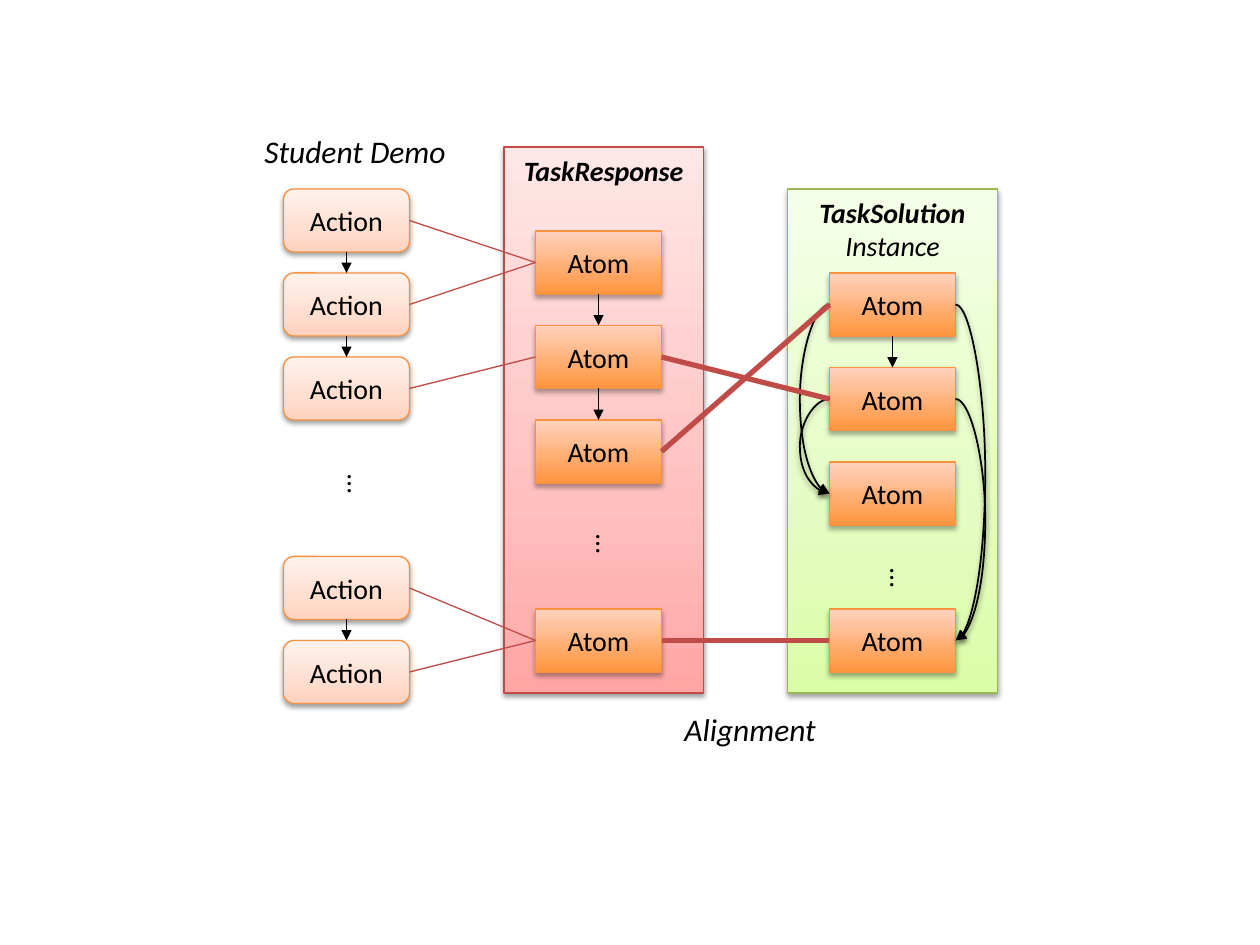
from dataclasses import dataclass
from itertools import pairwise

from lxml.etree import SubElement
from pptx import Presentation
from pptx.dml.color import RGBColor
from pptx.enum.shapes import MSO_CONNECTOR, MSO_SHAPE
from pptx.enum.text import MSO_ANCHOR, MSO_AUTO_SIZE, PP_ALIGN
from pptx.oxml.ns import qn
from pptx.util import Pt


@dataclass(frozen=True)
class Theme:
    font: str = "Calibri"
    body: int = 16
    label: int = 18
    ink: str = "000000"
    link: str = "BF4C48"
    # Each look: edge colour, gradient stops from bottom to top, shadow (alpha, distance)
    red: tuple = ("BF4C48", ((0, "FFA6A5"), (35, "FFC0BF"), (100, "FFE7E7")), (38, 1.6))
    green: tuple = ("98B955", ((0, "DAFDA7"), (35, "E4FCC2"), (100, "F5FFE7")), (38, 1.6))
    pale: tuple = ("F69240", ((0, "FFD2BD"), (35, "FFDED0"), (100, "FFF2ED")), (38, 1.6))
    deep: tuple = ("F69240", ((0, "FF953E"), (100, "FFD2BD")), (35, 1.8))


class Board:
    def __init__(self, slide, theme):
        self.slide, self.theme = slide, theme

    def tint(self, node, code, alpha=100):
        color = SubElement(node, qn("a:srgbClr"), val=code)
        if alpha < 100:
            SubElement(color, qn("a:alpha"), val=str(alpha * 1000))

    def shade(self, item, cast=None):
        """Give the item its own effect list, empty or with a drop shadow."""
        effects = SubElement(item._element.spPr, qn("a:effectLst"))
        if cast:
            alpha, dist = cast
            node = SubElement(effects, qn("a:outerShdw"), blurRad=str(Pt(3.1)),
                              dist=str(Pt(dist)), dir="5400000", rotWithShape="0")
            self.tint(node, self.theme.ink, alpha)

    def stroke(self, item, color, width):
        item.line.color.rgb = RGBColor.from_string(color)
        item.line.width = Pt(width)

    def letter(self, para, text, size, **style):
        run = para.add_run()
        run.text = text
        run.font.color.rgb = RGBColor.from_string(self.theme.ink)
        values = {"name": self.theme.font, "size": Pt(size), **style}
        for name, value in values.items():
            setattr(run.font, name, value)

    def block(self, kind, look, x, y, w, h, lines, anchor=MSO_ANCHOR.MIDDLE):
        """Draw a gradient shape; lines holds (text, style) pairs."""
        edge, stops, cast = look
        shape = self.slide.shapes.add_shape(kind, Pt(x), Pt(y), Pt(w), Pt(h))
        shape.fill.gradient()
        shape.fill.gradient_angle = 90
        ramp = shape._element.spPr.find(".//" + qn("a:gsLst"))
        ramp.clear()
        for pos, code in stops:
            self.tint(SubElement(ramp, qn("a:gs"), pos=str(pos * 1000)), code)
        self.stroke(shape, edge, 0.75)
        self.shade(shape, cast)
        frame = shape.text_frame
        frame.vertical_anchor = anchor
        for i, (text, style) in enumerate(lines):
            para = frame.add_paragraph() if i else frame.paragraphs[0]
            para.alignment = PP_ALIGN.CENTER
            self.letter(para, text, self.theme.body, **style)

    def label(self, text, x, y, w, h, size, turn=0, **style):
        box = self.slide.shapes.add_textbox(Pt(x), Pt(y), Pt(w), Pt(h))
        box.rotation = turn
        frame = box.text_frame
        for name, value in {"word_wrap": False,
                            "auto_size": MSO_AUTO_SIZE.SHAPE_TO_FIT_TEXT}.items():
            setattr(frame, name, value)
        self.letter(frame.paragraphs[0], text, size, **style)

    def dots(self, x, y):
        """Place a vertical ellipsis centred on x, y."""
        self.label("…", x - 13, y - 13.3, 26, 26.6, self.theme.body, turn=90)

    def link(self, start, end, color, width, head=False, kind=MSO_CONNECTOR.STRAIGHT, cast=None):
        ends = [Pt(v) for v in (*start, *end)]
        line = self.slide.shapes.add_connector(kind, *ends)
        self.stroke(line, color, width)
        if head:
            SubElement(line._element.spPr.find(qn("a:ln")), qn("a:tailEnd"), type="triangle")
        self.shade(line, cast)
        return line

    def arrow(self, start, end):
        self.link(start, end, self.theme.ink, 1, head=True)

    def curve(self, x, top, end, side):
        """Bow out 18 points to the left (side -1) or right (side 1) of x."""
        thin, bow = 0.12, 18
        first, last = (x + thin, x) if side < 0 else (x, x + thin)
        line = self.link((first, top), (last, end), self.theme.ink, 1, head=True,
                         kind=MSO_CONNECTOR.CURVE, cast=self.theme.pale[2])
        guides = line._element.spPr.find(".//" + qn("a:avLst"))
        SubElement(guides, qn("a:gd"), name="adj1", fmla=f"val {round(bow / thin * 100000)}")


def main():
    deck = Presentation()
    deck.slide_width, deck.slide_height = Pt(720), Pt(540)
    theme = Theme()
    board = Board(deck.slides.add_slide(deck.slide_layouts[6]), theme)

    # Box grid: left edge and tops of each column
    wide, high = 72, 36
    act, resp, sol = 162, 306, 474
    acts = [108, 156, 204, 318, 366]
    resps = [132, 186, 240, 348]
    sols = [156, 210, 264, 348]

    def mid(tops, i):
        return tops[i] + high / 2

    # Panels
    bold, plain = {"bold": True, "italic": True}, {"italic": True}
    board.block(MSO_SHAPE.RECTANGLE, theme.red, 288, 84, 114, 312,
                [("TaskResponse", bold)], MSO_ANCHOR.TOP)
    board.block(MSO_SHAPE.RECTANGLE, theme.green, 450, 108, 120, 288,
                [("TaskSolution", bold), ("Instance", plain)], MSO_ANCHOR.TOP)

    # Boxes
    for kind, look, text, left, tops in (
            (MSO_SHAPE.ROUNDED_RECTANGLE, theme.pale, "Action", act, acts),
            (MSO_SHAPE.RECTANGLE, theme.deep, "Atom", resp, resps),
            (MSO_SHAPE.RECTANGLE, theme.deep, "Atom", sol, sols)):
        for top in tops:
            board.block(kind, look, left, top, wide, high, [(text, {})])

    # Order arrows down each column
    for left, run in ((act, acts[:3]), (act, acts[3:]), (resp, resps[:3]), (sol, sols[:2])):
        x = left + wide / 2
        for above, below in pairwise(run):
            board.arrow((x, above + high), (x, below))

    # Curved order arrows in the solution
    for i in (0, 1):
        board.curve(sol, mid(sols, i), mid(sols, 2), -1)
        board.curve(sol + wide, mid(sols, i), mid(sols, 3), 1)

    # Actions to response atoms
    for i, j in enumerate((0, 0, 1, 3, 3)):
        board.link((act + wide, mid(acts, i)), (resp, mid(resps, j)), theme.link, 0.75)

    # Alignment of response and solution atoms
    for i, j in ((1, 1), (2, 0), (3, 3)):
        board.link((resp + wide, mid(resps, i)), (sol, mid(sols, j)), theme.link, 3)

    # Ellipses and labels
    for x, y in ((205, 276.8), (347, 311.4), (515, 330.8)):
        board.dots(x, y)
    board.label("Student Demo", 144, 72, 124, 29, theme.label, italic=True)
    board.label("Alignment", 384, 402, 95, 29, theme.label, italic=True)

    deck.save("out.pptx")


if __name__ == "__main__":
    main()
